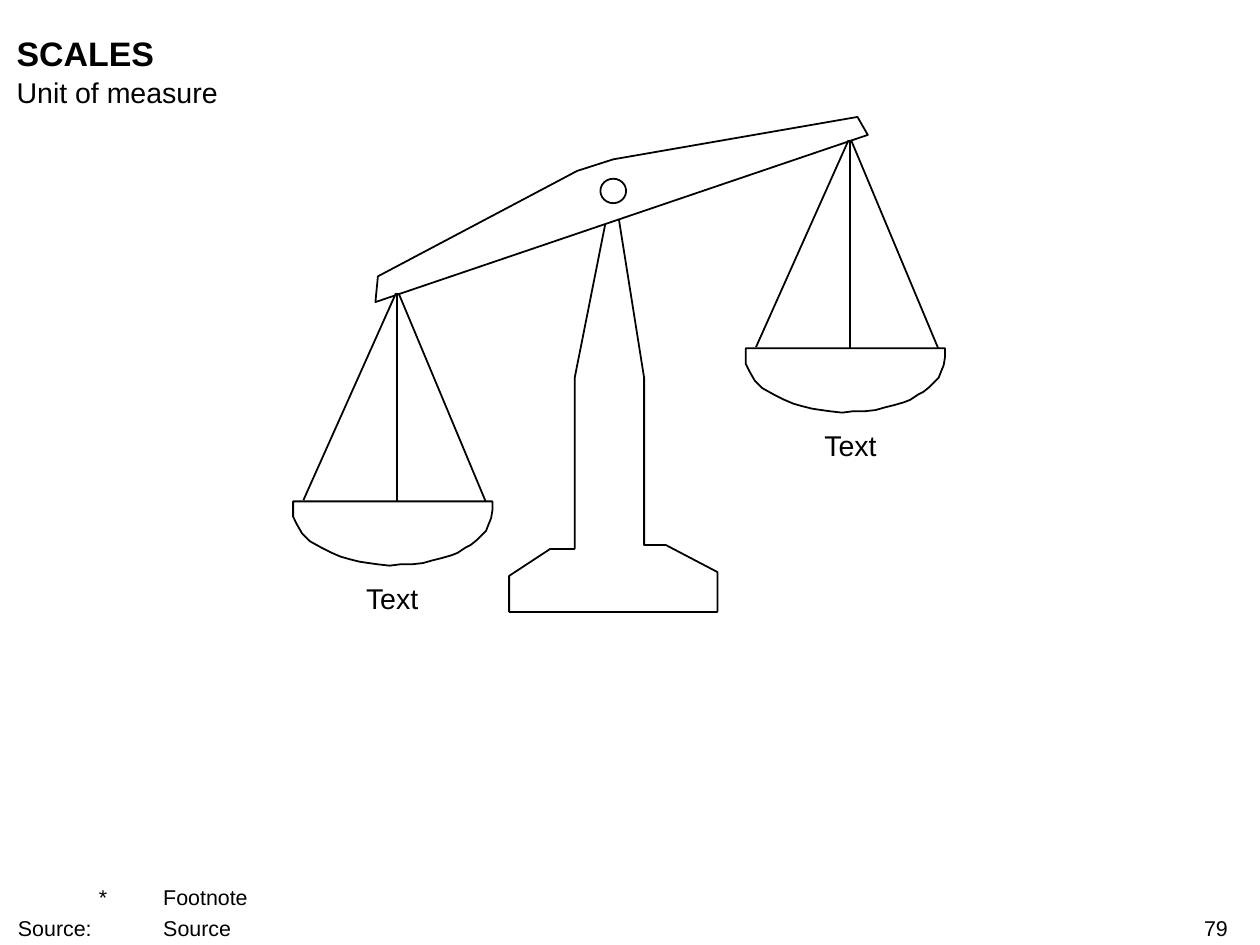
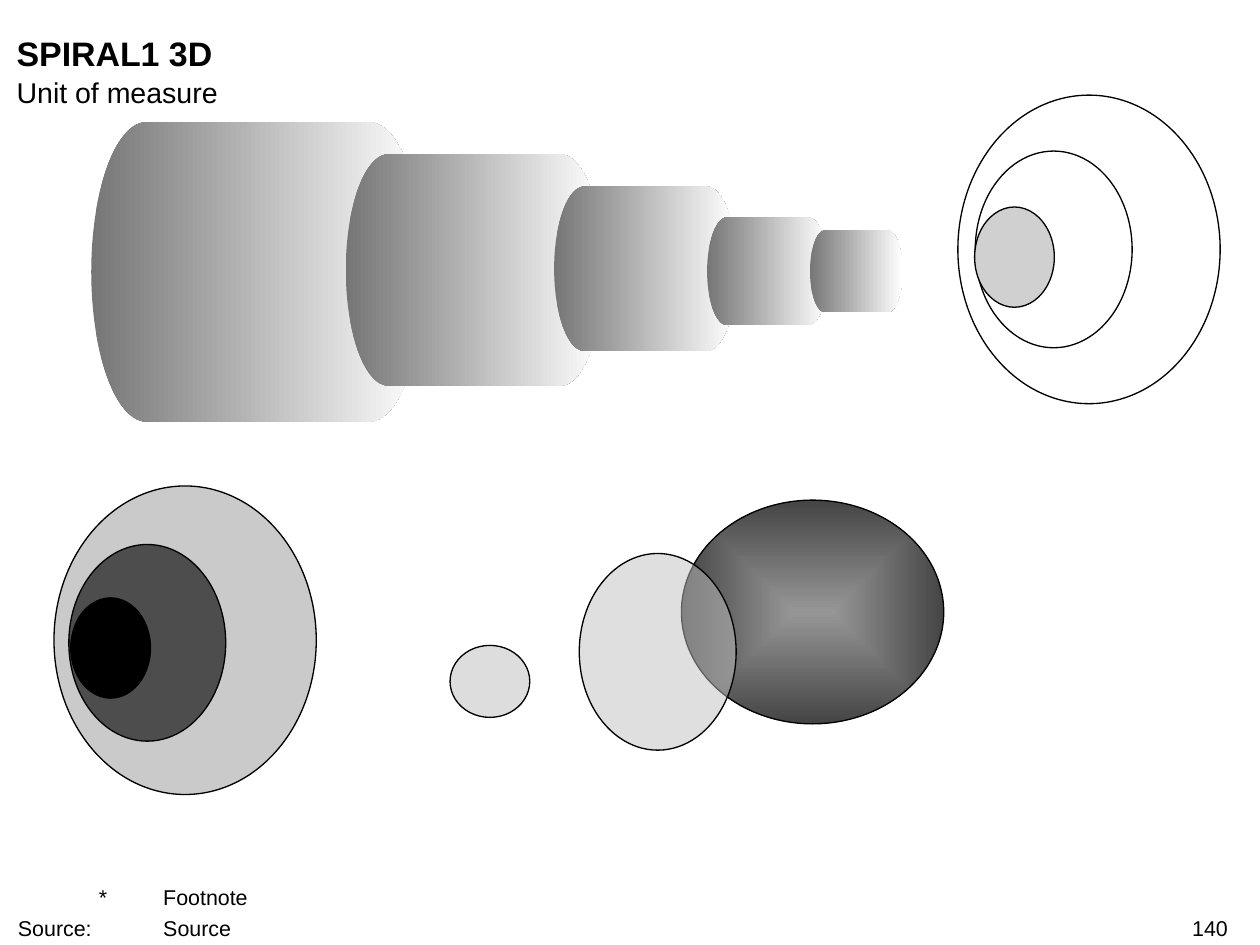
from dataclasses import dataclass
from typing import Optional

import pptx
import pptx.dml.color
import pptx.enum.shapes
import pptx.enum.text
import pptx.oxml
import pptx.oxml.ns
import pptx.util
from lxml import etree

PX = 9144  # 100 px to the inch
FONT = "Arial"
BLACK, WHITE = "000000", "FFFFFF"
DRUM_DARK = "767676"
FOOTER_TABS = ((0, "l"), (58, "r"), (98, "l"), (196, "l"))
FOOTER_INDENT = 63

ALIGN = pptx.enum.text.PP_ALIGN
ANCHOR = pptx.enum.text.MSO_ANCHOR
SHAPE = pptx.enum.shapes.MSO_SHAPE
qn = pptx.oxml.ns.qn

Point = tuple[int, int]


@dataclass(frozen=True)
class Box:
    left: int
    top: int
    width: int
    height: int

    def emu(self) -> tuple[int, int, int, int]:
        return self.left * PX, self.top * PX, self.width * PX, self.height * PX


@dataclass(frozen=True)
class Ring:
    box: Box
    color: str
    opacity: int = 100
    edge_color: Optional[str] = None


@dataclass(frozen=True)
class Scale:
    hook: Point
    label: Box


POST = [(477, 143), (501, 294), (501, 424), (518, 424), (558, 445), (558, 476),
        (396, 476), (396, 448), (428, 427), (447, 427), (447, 294)]
BEAM = [(292, 235), (675, 105), (667, 91), (477, 124), (449, 133), (294, 215)]
PIVOT = Box(467, 139, 20, 19)

# Offsets from the hook of a scale
STRINGS = [((1, 0), (70, 165)), ((0, 0), (0, 164)), ((-1, 0), (-73, 161))]
RIM = (-81, 162)
# Offsets from the left end of the rim
BOWL = [(0, 0), (0, 5), (0, 12), (3, 18), (7, 25), (13, 31), (22, 36), (30, 40),
        (37, 43), (44, 45), (52, 47), (59, 48), (66, 49), (75, 50), (83, 49),
        (92, 49), (101, 48), (108, 46), (116, 44), (123, 42), (128, 40),
        (134, 36), (138, 34), (143, 30), (147, 26), (150, 23), (152, 18),
        (154, 13), (155, 7), (155, 0)]
SCALES = [Scale((661, 109), Box(610, 333, 103, 27)),
          Scale((309, 228), Box(254, 452, 102, 27))]

DRUMS = [Box(71, 95, 259, 233), Box(269, 120, 200, 180), Box(431, 145, 142, 128),
         Box(550, 169, 94, 84), Box(630, 179, 72, 64)]
RINGS = [
    Ring(Box(24, 396, 240, 204), "969696", opacity=50),
    Ring(Box(38, 439, 153, 122), "4D4D4D"),
    Ring(Box(47, 473, 78, 62), BLACK),
    Ring(Box(727, 92, 240, 204), WHITE, opacity=50),
    Ring(Box(743, 133, 153, 122), WHITE),
    Ring(Box(750, 169, 78, 62), "D0D0D0"),
    Ring(Box(545, 374, 174, 204), "969696", edge_color="454545"),
    Ring(Box(435, 446, 153, 122), "C0C0C0", opacity=50),
    Ring(Box(353, 499, 56, 62), "DDDDDD"),
]


def rgb(color: str) -> pptx.dml.color.RGBColor:
    return pptx.dml.color.RGBColor.from_string(color)


def shift(points: list[Point], origin: Point) -> list[Point]:
    return [(x + origin[0], y + origin[1]) for x, y in points]


def add_text(slide, box: Box, lines: list[str], size: int, bold: bool = False,
             align=ALIGN.LEFT, anchor=ANCHOR.TOP, hanging: bool = False) -> None:
    frame = slide.shapes.add_textbox(*box.emu()).text_frame
    frame.word_wrap = True
    frame.auto_size = pptx.enum.text.MSO_AUTO_SIZE.SHAPE_TO_FIT_TEXT
    frame.vertical_anchor = anchor
    frame.margin_left = frame.margin_right = 0
    frame.margin_top = frame.margin_bottom = 0
    for index, line in enumerate(lines):
        paragraph = frame.paragraphs[0] if index == 0 else frame.add_paragraph()
        paragraph.text = line
        paragraph.alignment = align
        if index:
            paragraph.space_before = pptx.util.Pt(3)
        if hanging:
            add_hanging_tabs(paragraph)
        paragraph.font.name = FONT
        paragraph.font.size = pptx.util.Pt(size)
        paragraph.font.bold = bold
        paragraph.font.color.rgb = rgb(BLACK)


def add_hanging_tabs(paragraph) -> None:
    properties = paragraph._p.get_or_add_pPr()
    properties.set("marL", str(FOOTER_INDENT * PX))
    properties.set("indent", str(-FOOTER_INDENT * PX))
    tabs = etree.SubElement(properties, qn("a:tabLst"))
    for position, side in FOOTER_TABS:
        etree.SubElement(tabs, qn("a:tab"), pos=str(position * PX), algn=side)


def add_frame(slide, title: str, page: int) -> None:
    """Add the title, subtitle, footnotes and page number."""
    add_text(slide, Box(13, 25, 943, 32), [title], 19, bold=True)
    add_text(slide, Box(13, 58, 943, 27), ["Unit of measure"], 16)
    add_text(slide, Box(14, 688, 893, 44), ["\t*\tFootnote", "Source:\t\tSource"], 12,
             anchor=ANCHOR.BOTTOM, hanging=True)
    add_text(slide, Box(751, 712, 204, 20), [str(page)], 12, align=ALIGN.RIGHT)


def set_outline(shape, width: float) -> None:
    shape.line.color.rgb = rgb(BLACK)
    shape.line.width = pptx.util.Pt(width)


def set_solid(shape, color: str, opacity: int = 100) -> None:
    shape.fill.solid()
    shape.fill.fore_color.rgb = rgb(color)
    if opacity < 100:
        tint = shape._element.spPr.find(f"{qn('a:solidFill')}/{qn('a:srgbClr')}")
        etree.SubElement(tint, qn("a:alpha"), val=str(opacity * 1000))


def set_gradient(shape, start: str, end: str, from_center: bool = False) -> None:
    shape.fill.gradient()
    shape.fill.gradient_angle = 0
    for stop, color, position in zip(shape.fill.gradient_stops, (start, end), (0, 1)):
        stop.color.rgb = rgb(color)
        stop.position = position
    if from_center:
        gradient = shape._element.spPr.find(qn("a:gradFill"))
        center = etree.Element(qn("a:path"), path="rect")
        etree.SubElement(center, qn("a:fillToRect"),
                         {side: "50000" for side in "ltrb"})
        gradient.replace(gradient.find(qn("a:lin")), center)


def add_outline(slide, points: list[Point]) -> None:
    builder = slide.shapes.build_freeform(*points[0], scale=PX)
    builder.add_line_segments(points[1:], close=True)
    shape = builder.convert_to_shape()
    shape.shadow.inherit = False
    set_solid(shape, WHITE)
    set_outline(shape, 1)


def add_preset(slide, kind, box: Box):
    shape = slide.shapes.add_shape(kind, *box.emu())
    shape.shadow.inherit = False
    return shape


def add_string(slide, start: Point, end: Point) -> None:
    string = slide.shapes.add_connector(
        pptx.enum.shapes.MSO_CONNECTOR.STRAIGHT, *(v * PX for v in start + end))
    set_outline(string, 1)
    etree.SubElement(string._element.spPr, qn("a:effectLst"))


def add_scale(slide, scale: Scale) -> None:
    for string in STRINGS:
        add_string(slide, *shift(list(string), scale.hook))
    rim = shift([RIM], scale.hook)[0]
    add_outline(slide, shift(BOWL, rim))
    add_text(slide, scale.label, ["Text"], 16, align=ALIGN.CENTER)


def add_drum(slide, box: Box) -> None:
    drum = add_preset(slide, SHAPE.FLOWCHART_DIRECT_ACCESS_STORAGE, box)
    set_gradient(drum, DRUM_DARK, WHITE)
    drum.line.fill.background()


def add_ring(slide, ring: Ring) -> None:
    ellipse = add_preset(slide, SHAPE.OVAL, ring.box)
    ellipse.rotation = 90
    if ring.edge_color:
        set_gradient(ellipse, ring.color, ring.edge_color, from_center=True)
    else:
        set_solid(ellipse, ring.color, ring.opacity)
    set_outline(ellipse, 0.75)


def build_scales(slide) -> None:
    add_frame(slide, "SCALES", 79)
    add_outline(slide, POST)
    add_outline(slide, BEAM)
    pivot = add_preset(slide, SHAPE.OVAL, PIVOT)
    set_solid(pivot, WHITE)
    set_outline(pivot, 1)
    for scale in SCALES:
        add_scale(slide, scale)


def build_spiral(slide) -> None:
    add_frame(slide, "SPIRAL1 3D", 140)
    for drum in DRUMS:
        add_drum(slide, drum)
    for ring in RINGS:
        add_ring(slide, ring)


def main() -> None:
    deck = pptx.Presentation()
    deck.slide_width, deck.slide_height = 980 * PX, 735 * PX
    blank = deck.slide_layouts[6]
    for build in (build_scales, build_spiral):
        build(deck.slides.add_slide(blank))
    deck.save("out.pptx")


if __name__ == "__main__":
    main()
